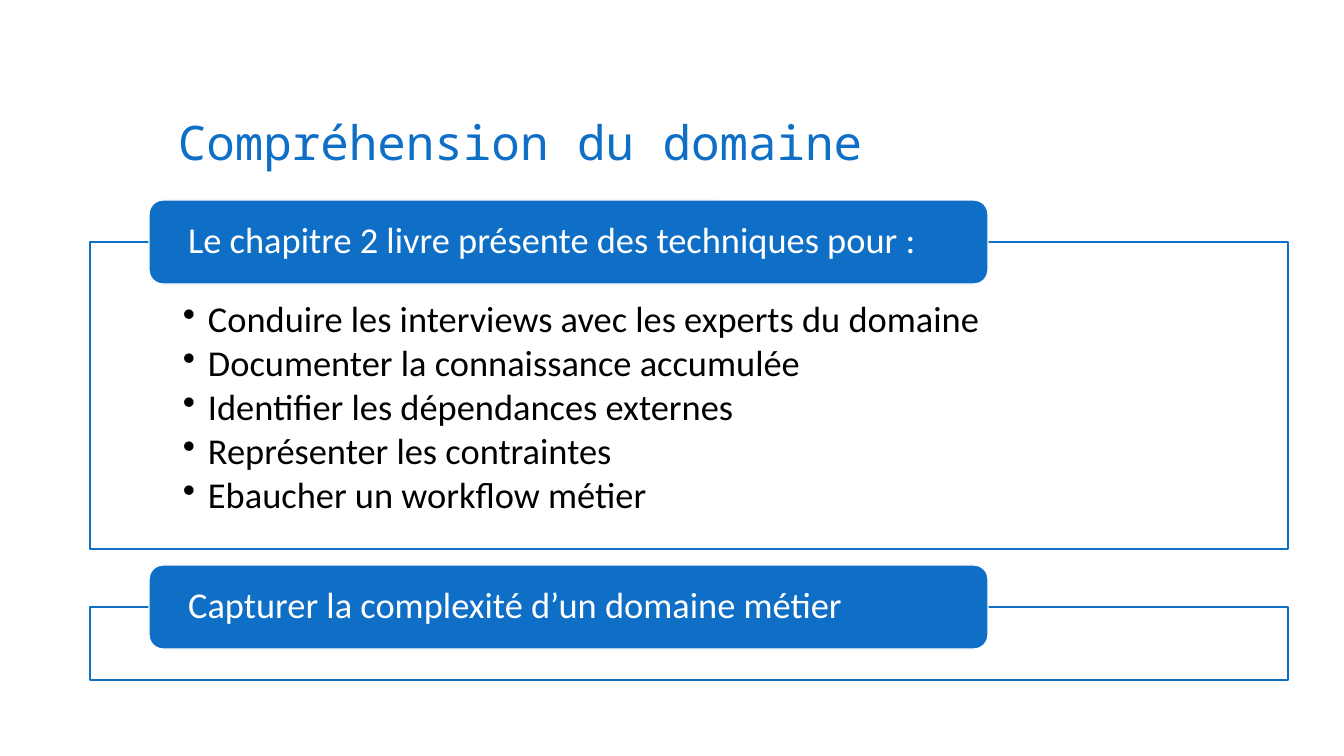
import pptx
import pptx.util
import pptx.dml.color
import pptx.enum.shapes
import pptx.enum.text
import pptx.oxml.ns
import lxml.etree

PX = 914400 / 100.8
COLORS = {"blue": "0F6FC6", "white": "FFFFFF", "black": "000000"}
ANCHOR = pptx.enum.text.MSO_ANCHOR
SHAPES = pptx.enum.shapes.MSO_SHAPE
FRAME_LEFT, FRAME_WIDTH = 90, 1198
HEADER_LEFT, HEADER_WIDTH, HEADER_HEIGHT = 149, 839, 84

SECTIONS = [
    (242, 307, "Le chapitre 2 livre présente des techniques pour :", [
        "Conduire les interviews avec les experts du domaine",
        "Documenter la connaissance accumulée",
        "Identifier les dépendances externes",
        "Représenter les contraintes",
        "Ebaucher un workflow métier",
    ]),
    (607, 73, "Capturer la complexité d’un domaine métier", []),
]


def add_panel(kind, box, fill, line):
    panel = slide.shapes.add_shape(kind, *[round(value * PX) for value in box])
    panel.shadow.inherit = False
    panel.fill.solid()
    panel.fill.fore_color.rgb = pptx.dml.color.RGBColor.from_string(COLORS[fill])
    panel.line.color.rgb = pptx.dml.color.RGBColor.from_string(COLORS[line])
    panel.line.width = pptx.util.Pt(1)
    return panel


def write_text(shape, lines, anchor, margins, font, size, color):
    """Fill the shape with left-aligned lines; margins are left, top, right, bottom in px."""
    frame = shape.text_frame
    frame.text = "\n".join(lines)
    frame.word_wrap = True
    frame.auto_size = pptx.enum.text.MSO_AUTO_SIZE.NONE
    frame.vertical_anchor = anchor
    (frame.margin_left, frame.margin_top,
     frame.margin_right, frame.margin_bottom) = [round(value * PX) for value in margins]
    for paragraph in frame.paragraphs:
        paragraph.alignment = pptx.enum.text.PP_ALIGN.LEFT
        paragraph.line_spacing = 0.9
        for run in paragraph.runs:
            run.font.name = font
            run.font.size = pptx.util.Pt(size)
            run.font.color.rgb = pptx.dml.color.RGBColor.from_string(COLORS[color])


presentation = pptx.Presentation()
presentation.slide_width = round(1344 * PX)
presentation.slide_height = round(756 * PX)
slide = presentation.slides.add_slide(presentation.slide_layouts[5])

title = slide.shapes.title
title.left, title.top, title.width, title.height = [
    round(value * PX) for value in (168, 50, 1008, 126)]
write_text(title, ["Compréhension du domaine"], ANCHOR.BOTTOM, (10, 5, 10, 5),
           "Noto Sans Mono", 34, "blue")

for top, height, heading, items in SECTIONS:
    frame = add_panel(SHAPES.RECTANGLE, (FRAME_LEFT, top, FRAME_WIDTH, height), "white", "blue")
    frame_color = frame.fill._xPr.find(".//" + pptx.oxml.ns.qn("a:srgbClr"))
    lxml.etree.SubElement(frame_color, pptx.oxml.ns.qn("a:alpha"), val="90000")
    if items:
        write_text(frame, items, ANCHOR.TOP, (93, 59, 93, 20), "Calibri", 26, "black")
        for paragraph in frame.text_frame.paragraphs:
            paragraph.space_after = pptx.util.Pt(3.4)
            properties = paragraph._p.get_or_add_pPr()
            properties.set("marL", str(round(25 * PX)))
            properties.set("indent", str(round(-25 * PX)))
            lxml.etree.SubElement(properties, pptx.oxml.ns.qn("a:buChar"), char="•")

    header_box = (HEADER_LEFT, top - HEADER_HEIGHT // 2, HEADER_WIDTH, HEADER_HEIGHT)
    header = add_panel(SHAPES.ROUNDED_RECTANGLE, header_box, "blue", "white")
    write_text(header, [heading], ANCHOR.MIDDLE, (35, 0, 35, 0), "Calibri", 26, "white")

presentation.save("out.pptx")
